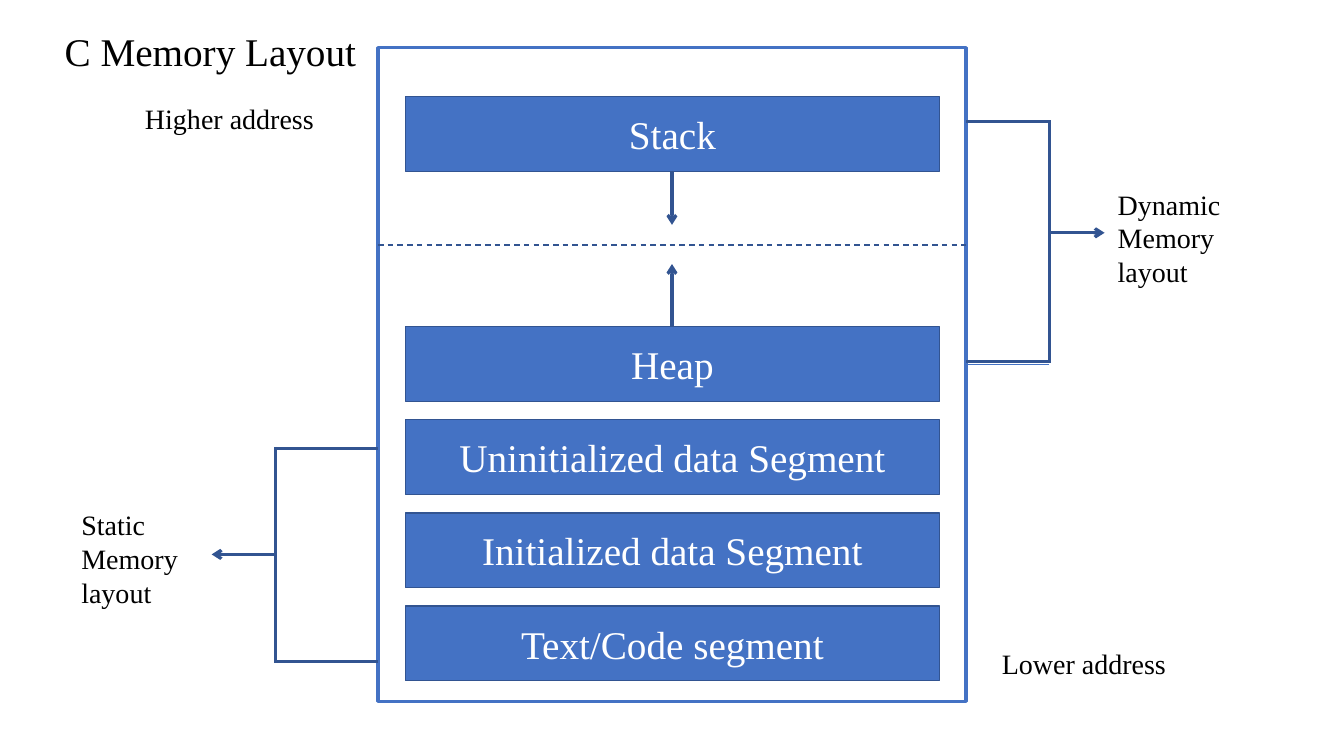
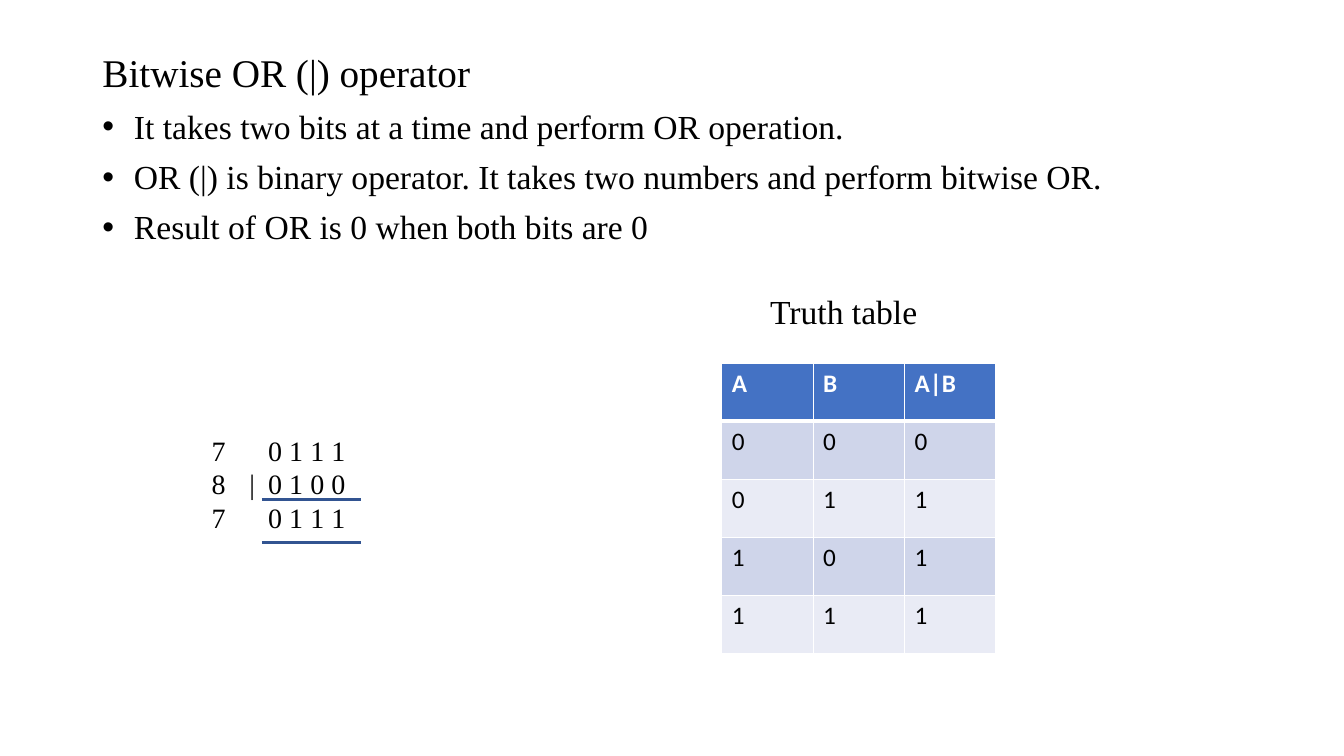
from dataclasses import dataclass

from lxml import etree
from pptx import Presentation
from pptx.dml.color import RGBColor
from pptx.enum.dml import MSO_LINE
from pptx.enum.shapes import MSO_CONNECTOR, MSO_SHAPE
from pptx.enum.text import MSO_ANCHOR, MSO_AUTO_SIZE, PP_ALIGN
from pptx.oxml.ns import qn
from pptx.util import Pt

LEFT, CENTER, JUSTIFY = PP_ALIGN.LEFT, PP_ALIGN.CENTER, PP_ALIGN.JUSTIFY
TOP, MIDDLE = MSO_ANCHOR.TOP, MSO_ANCHOR.MIDDLE
NO_FIT, DASH = MSO_AUTO_SIZE.NONE, MSO_LINE.DASH
RECTANGLE, STRAIGHT = MSO_SHAPE.RECTANGLE, MSO_CONNECTOR.STRAIGHT


@dataclass(frozen=True)
class Theme:
    accent: str = "4472C4"
    edge: str = "325491"
    ink: str = "000000"
    paper: str = "FFFFFF"
    bands: tuple = ("CFD5EA", "E9EBF5")
    serif: str = "Times New Roman"
    sans: str = "Calibri"
    title: int = 28
    body: int = 24
    label: int = 20
    cell: int = 18
    stroke: float = 2.25


THEME = Theme()

MEMORY_TITLE = "C Memory Layout"
FRAME = (270, 34, 420, 467)
SEGMENT_LEFT, SEGMENT_WIDTH, SEGMENT_HEIGHT = 289.5, 381.6, 53.5
STACK_TOP, HEAP_TOP, SEGMENT_STEP = 69, 233.3, 66.5
STACK = "Stack"
LOWER_SEGMENTS = [
    "Heap",
    "Uninitialized data Segment",
    "Initialized data Segment",
    "Text/Code segment",
]
BOUNDARY = 175
GROWTH_ENDS = {"stack": 160.6, "heap": 188.6}
BRACKETS = [
    {"edge": 690, "spine": 749.5, "top": 87, "bottom": 258.5, "arrow": 166.3, "tip": 789},
    {"edge": 270, "spine": 196.6, "top": 320.4, "bottom": 472.3, "arrow": 396, "tip": 151.2},
]
MEMORY_LABELS = [
    (["Lower address"], (708.5, 458, 155, 32)),
    (["Higher address"], (96.5, 69, 155, 32)),
    (["Dynamic Memory", "layout"], (791.3, 130.3, 117.4, 80)),
    (["Static Memory", "layout"], (51, 359.3, 117.4, 80)),
]

OPERATOR_TITLE = "Bitwise OR (|) operator"
OPERATOR_POINTS = [
    "It takes two bits at a time and perform OR operation.",
    "OR (|) is binary operator. It takes two numbers and perform bitwise OR.",
    "Result of OR is 0 when both bits are 0",
]
TRUTH_CAPTION = "Truth table"
TRUTH_ROWS = [
    ["A", "B", "A|B"],
    ["0", "0", "0"],
    ["0", "1", "1"],
    ["1", "0", "1"],
    ["1", "1", "1"],
]
TRUTH_LEFT, TRUTH_TOP, TRUTH_COLUMN, TRUTH_ROW = 515.5, 259.3, 65.3, 41.5
SUM_ROWS = [("7", "", "0 1 1 1"), ("8", "|", "0 1 0 0"), ("7", "", "0 1 1 1")]
SUM_BOX = (144, 306, 151, 104)
SUM_TABS = (27, 40.5)
RULE_LEFT, RULE_RIGHT, RULE_TOPS = 187, 258, (357, 387.5)


def points(values):
    return [Pt(value) for value in values]


def color(value):
    return RGBColor.from_string(value)


def apply(target, values):
    for name, value in values.items():
        setattr(target, name, value)


def place(shape, area):
    apply(shape, dict(zip(("left", "top", "width", "height"), points(area))))


def write(frame, lines, size, ink=THEME.ink, font=THEME.serif, bold=False,
          anchor=TOP, **paragraph_format):
    apply(frame, {"word_wrap": True, "auto_size": NO_FIT, "vertical_anchor": anchor})
    gap = paragraph_format.pop("space_before", Pt(0))
    for index, line in enumerate(lines):
        para = frame.paragraphs[0] if index == 0 else frame.add_paragraph()
        apply(para, {"space_before": gap if index else Pt(0), **paragraph_format})
        span = para.add_run()
        span.text = line
        apply(span.font, {"name": font, "size": Pt(size), "bold": bold})
        span.font.color.rgb = color(ink)


def add_title(page, text, area):
    title = page.shapes.title
    place(title, area)
    write(title.text_frame, [text], THEME.title, alignment=LEFT, line_spacing=0.9)


def add_label(page, lines, area, size=THEME.label):
    box = page.shapes.add_textbox(*points(area))
    write(box.text_frame, lines, size)
    return box


def add_block(page, area, fill, edge, width):
    block = page.shapes.add_shape(RECTANGLE, *points(area))
    block.shadow.inherit = False
    block.fill.solid()
    block.fill.fore_color.rgb = color(fill)
    block.line.color.rgb = color(edge)
    block.line.width = Pt(width)
    return block


def add_segment(page, text, top):
    area = (SEGMENT_LEFT, top, SEGMENT_WIDTH, SEGMENT_HEIGHT)
    block = add_block(page, area, THEME.accent, THEME.edge, 1)
    write(block.text_frame, [text], THEME.title, THEME.paper, anchor=MIDDLE, alignment=CENTER)


def add_line(page, start, end, width=THEME.stroke, ink=THEME.edge, dash=None, arrow=False):
    line = page.shapes.add_connector(STRAIGHT, *points((*start, *end)))
    line.line.color.rgb = color(ink)
    line.line.width = Pt(width)
    if dash:
        line.line.dash_style = dash
    properties = line.element.spPr
    if arrow:
        etree.SubElement(properties.find(qn("a:ln")), qn("a:tailEnd"), type="arrow")
    etree.SubElement(properties, qn("a:effectLst"))


def add_bracket(page, edge, spine, top, bottom, arrow, tip):
    overhang = THEME.stroke / 2
    add_line(page, (spine, top - overhang), (spine, bottom + overhang))
    for level in (top, bottom):
        add_line(page, (spine, level), (edge, level))
    add_line(page, (spine, arrow), (tip, arrow), arrow=True)


def add_bullets(frame):
    for para in frame.paragraphs:
        properties = para._p.get_or_add_pPr()
        properties.set("marL", str(Pt(22.5)))
        properties.set("indent", str(-Pt(22.5)))
        etree.SubElement(properties, qn("a:buFont"), typeface="Arial")
        etree.SubElement(properties, qn("a:buChar"), char="•")


def add_tabs(frame, stops):
    for para in frame.paragraphs:
        tabs = etree.SubElement(para._p.get_or_add_pPr(), qn("a:tabLst"))
        for stop in stops:
            etree.SubElement(tabs, qn("a:tab"), pos=str(Pt(stop)), algn="l")


def add_borders(cell, widths):
    properties = cell._tc.get_or_add_tcPr()
    for index, (side, width) in enumerate(widths.items()):
        border = etree.Element(qn(f"a:ln{side}"), w=str(Pt(width)))
        fill = etree.SubElement(border, qn("a:solidFill"))
        etree.SubElement(fill, qn("a:srgbClr"), val=THEME.paper)
        properties.insert(index, border)


def add_truth_table(page):
    rows, columns = len(TRUTH_ROWS), len(TRUTH_ROWS[0])
    area = (TRUTH_LEFT, TRUTH_TOP, TRUTH_COLUMN * columns, TRUTH_ROW * rows)
    table = page.shapes.add_table(rows, columns, *points(area)).table
    for column in table.columns:
        column.width = Pt(TRUTH_COLUMN)
    for row_index, texts in enumerate(TRUTH_ROWS):
        table.rows[row_index].height = Pt(TRUTH_ROW)
        header = row_index == 0
        fill = THEME.accent if header else THEME.bands[(row_index - 1) % 2]
        ink = THEME.paper if header else THEME.ink
        widths = {"L": 1, "R": 1, "T": 3 if row_index == 1 else 1, "B": 3 if header else 1}
        for column_index, text in enumerate(texts):
            cell = table.cell(row_index, column_index)
            cell.fill.solid()
            cell.fill.fore_color.rgb = color(fill)
            write(cell.text_frame, [text], THEME.cell, ink, THEME.sans, header)
            add_borders(cell, widths)


def build_memory(deck):
    page = deck.slides.add_slide(deck.slide_layouts[5])
    add_title(page, MEMORY_TITLE, (39, 20, 230, 45))
    add_block(page, FRAME, THEME.paper, THEME.accent, THEME.stroke)
    add_segment(page, STACK, STACK_TOP)
    for index, text in enumerate(LOWER_SEGMENTS):
        add_segment(page, text, HEAP_TOP + index * SEGMENT_STEP)
    left, right = FRAME[0], FRAME[0] + FRAME[2]
    center = (left + right) / 2
    add_line(page, (left, BOUNDARY), (right, BOUNDARY), 1, dash=DASH)
    starts = {"stack": STACK_TOP + SEGMENT_HEIGHT, "heap": HEAP_TOP}
    for name, start in starts.items():
        add_line(page, (center, start), (center, GROWTH_ENDS[name]), arrow=True)
    for bracket in BRACKETS:
        add_bracket(page, **bracket)
    dynamic = BRACKETS[0]
    level = dynamic["bottom"] + 1.5
    add_line(page, (dynamic["spine"], level), (dynamic["edge"], level), 0.5, THEME.accent)
    for lines, area in MEMORY_LABELS:
        add_label(page, lines, area)


def build_operator(deck):
    page = deck.slides.add_slide(deck.slide_layouts[1])
    add_title(page, OPERATOR_TITLE, (66, 34.6, 828, 40))
    body = page.placeholders[1]
    place(body, (66, 75, 828, 115))
    write(body.text_frame, OPERATOR_POINTS, THEME.body, alignment=JUSTIFY,
          line_spacing=0.9, space_before=Pt(10))
    add_bullets(body.text_frame)
    add_truth_table(page)
    add_label(page, [TRUTH_CAPTION], (543, 204, 140, 36), THEME.body)
    box = add_label(page, ["\t".join(row) for row in SUM_ROWS], SUM_BOX)
    add_tabs(box.text_frame, SUM_TABS)
    for top in RULE_TOPS:
        add_line(page, (RULE_LEFT, top), (RULE_RIGHT, top))


def main():
    deck = Presentation()
    deck.slide_width, deck.slide_height = Pt(960), Pt(540)
    build_memory(deck)
    build_operator(deck)
    deck.save("out.pptx")


if __name__ == "__main__":
    main()
